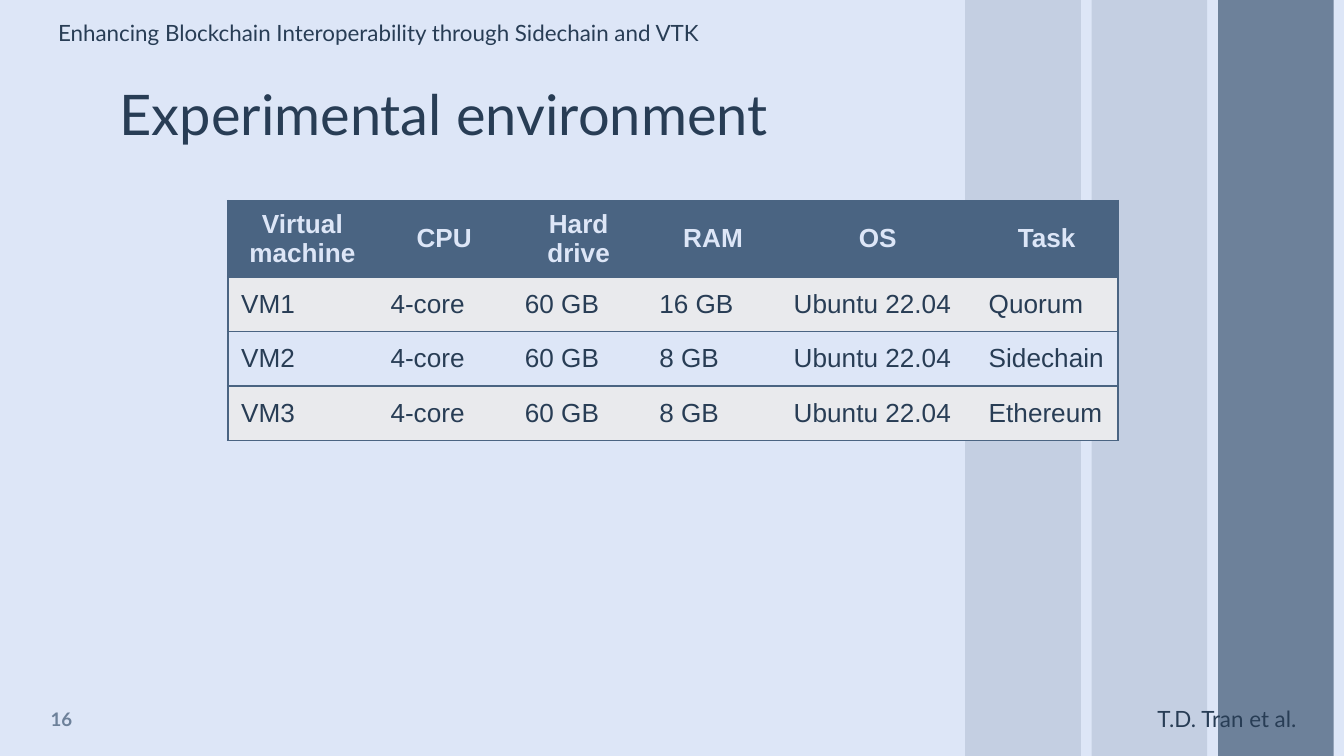
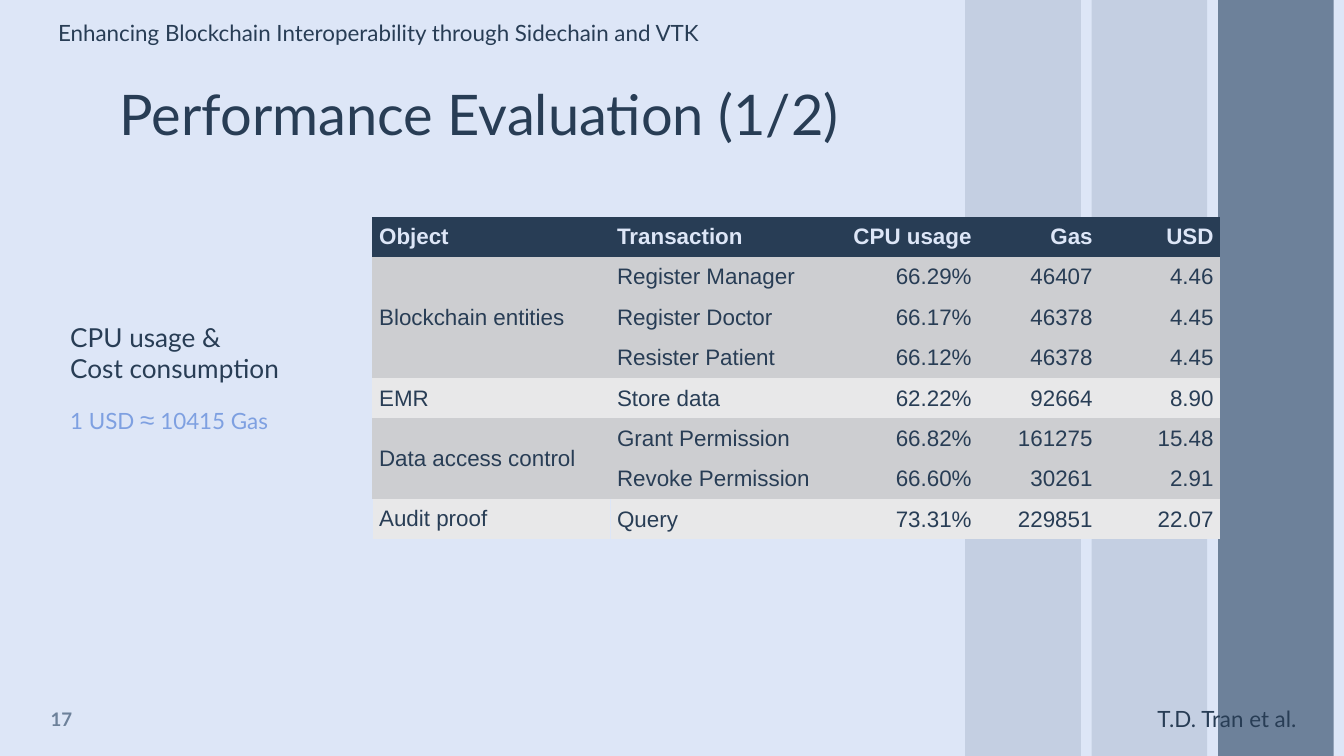
"""Build two slides on the test environment and evaluation of a blockchain system."""
from dataclasses import dataclass

from lxml import etree
from pptx import Presentation
from pptx import util as u
from pptx.dml import color
from pptx.enum import shapes, text
from pptx.oxml import ns

TALK = "Enhancing Blockchain Interoperability through Sidechain and VTK"
AUTHORS = "T.D. Tran et al."

MACHINES = [
    ("Virtual machine", "CPU", "Hard drive", "RAM", "OS", "Task"),
    ("VM1", "4-core", "60 GB", "16 GB", "Ubuntu 22.04", "Quorum"),
    ("VM2", "4-core", "60 GB", "8 GB", "Ubuntu 22.04", "Sidechain"),
    ("VM3", "4-core", "60 GB", "8 GB", "Ubuntu 22.04", "Ethereum"),
]
MACHINE_WIDTHS = (80, 72, 72, 72, 104.5, 76.5)
MACHINE_HEIGHTS = (39, 29.2, 29.2, 29.2)

COST_HEADER = ("Object", "Transaction", "CPU usage", "Gas", "USD")
COSTS = [
    ("Blockchain entities", [
        ("Register Manager", "66.29%", "46407", "4.46"),
        ("Register Doctor", "66.17%", "46378", "4.45"),
        ("Resister Patient", "66.12%", "46378", "4.45"),
    ]),
    ("EMR", [("Store data", "62.22%", "92664", "8.90")]),
    ("Data access control", [
        ("Grant Permission", "66.82%", "161275", "15.48"),
        ("Revoke Permission", "66.60%", "30261", "2.91"),
    ]),
    ("Audit proof", [("Query", "73.31%", "229851", "22.07")]),
]
COST_WIDTHS = (127.5, 118, 79.2, 64.8, 64.8)
COST_ROW_HEIGHT = 21.6
COST_CAPTION = "CPU usage &\vCost consumption"


@dataclass(frozen=True)
class Theme:
    """Colours, fonts and type sizes of the deck."""
    background: str = "DDE6F7"
    ink: str = "283D55"
    slate: str = "6D819A"
    header: str = "4A6482"
    accent: str = "7EA0E1"
    machine_bands: tuple = ("E9EAED", "DDE6F7")
    cost_bands: tuple = ("CDCED1", "E8E8E9")
    heading_font: str = "Lato"
    table_font: str = "Arial"
    title: int = 30
    body: int = 14
    small: int = 12
    number: int = 10


THEME = Theme()
WIDTH, HEIGHT = 720, 405
STRIPE_WIDTH, STRIPE_PITCH, STRIPE_LEFT = 62, 67.75, 517
STRIPE_OPACITIES = (22, 22, 100)
LEFT, CENTER, RIGHT = text.PP_ALIGN.LEFT, text.PP_ALIGN.CENTER, text.PP_ALIGN.RIGHT
TOP, MIDDLE = text.MSO_ANCHOR.TOP, text.MSO_ANCHOR.MIDDLE


def rgb(value):
    return color.RGBColor.from_string(value)


def style(run, size, ink=THEME.ink, font=THEME.heading_font, bold=False):
    run.font.size = u.Pt(size)
    run.font.name = font
    run.font.bold = bold
    run.font.color.rgb = rgb(ink)


def add_text(slide, box, words, size, ink=THEME.ink, bold=False,
             align=LEFT, anchor=TOP, inset=3.6):
    frame = slide.shapes.add_textbox(*map(u.Pt, box)).text_frame
    frame.word_wrap = True
    frame.vertical_anchor = anchor
    frame.margin_top = frame.margin_bottom = u.Pt(inset)
    paragraph = frame.paragraphs[0]
    paragraph.text = words
    paragraph.alignment = align
    for run in paragraph.runs:
        style(run, size, ink, bold=bold)
    return paragraph


def add_stripe(slide, left, opacity):
    stripe = slide.shapes.add_shape(
        shapes.MSO_SHAPE.RECTANGLE, u.Pt(left), 0, u.Pt(STRIPE_WIDTH), u.Pt(HEIGHT))
    stripe.shadow.inherit = False
    stripe.line.fill.background()
    stripe.fill.solid()
    stripe.fill.fore_color.rgb = rgb(THEME.slate)
    if opacity < 100:
        shade = stripe.fill._xPr.find(".//" + ns.qn("a:srgbClr"))
        etree.SubElement(shade, ns.qn("a:alpha"), val=str(opacity * 1000))


def add_slide(presentation, title, number):
    slide = presentation.slides.add_slide(presentation.slide_layouts[6])
    slide.background.fill.solid()
    slide.background.fill.fore_color.rgb = rgb(THEME.background)
    for index, opacity in enumerate(STRIPE_OPACITIES):
        add_stripe(slide, STRIPE_LEFT + index * STRIPE_PITCH, opacity)
    add_text(slide, (24, 6.5, 492, 21.8), TALK, THEME.small)
    add_text(slide, (613, 374, 101.5, 21.8), AUTHORS, THEME.small)
    add_text(slide, (57, 35.5, 607, 45), title, THEME.title, inset=7.2)
    add_text(slide, (16.5, 374.5, 33, 21.5), str(number), THEME.number,
             THEME.slate, bold=True, align=CENTER, anchor=MIDDLE)
    return slide


def add_table(slide, left, top, widths, heights):
    table = slide.shapes.add_table(
        len(heights), len(widths), u.Pt(left), u.Pt(top),
        u.Pt(sum(widths)), u.Pt(sum(heights))).table
    for column, width in zip(table.columns, widths):
        column.width = u.Pt(width)
    for row, height in zip(table.rows, heights):
        row.height = u.Pt(height)
    return table


def set_borders(cell, sides, line_color):
    properties = cell._tc.get_or_add_tcPr()
    for side in "LRTB":
        line = etree.SubElement(properties, ns.qn(f"a:ln{side}"), w=str(u.Pt(1)))
        if side in sides:
            fill = etree.SubElement(line, ns.qn("a:solidFill"))
            etree.SubElement(fill, ns.qn("a:srgbClr"), val=line_color)
        else:
            etree.SubElement(line, ns.qn("a:noFill"))


def fill_cell(cell, words, size, fill, header=False, align=LEFT,
              anchor=MIDDLE, sides="", line_color=THEME.header):
    set_borders(cell, sides, line_color)
    cell.fill.solid()
    cell.fill.fore_color.rgb = rgb(fill)
    cell.vertical_anchor = anchor
    paragraph = cell.text_frame.paragraphs[0]
    paragraph.text = words
    paragraph.alignment = align
    for run in paragraph.runs:
        style(run, size, THEME.background if header else THEME.ink,
              THEME.table_font, header)


def add_machine_table(slide):
    table = add_table(slide, 122, 107.5, MACHINE_WIDTHS, MACHINE_HEIGHTS)
    outer_sides = {0: "L", len(MACHINE_WIDTHS) - 1: "R"}
    for row, values in enumerate(MACHINES):
        header = row == 0
        fill = THEME.header if header else THEME.machine_bands[(row - 1) % 2]
        for column, words in enumerate(values):
            fill_cell(table.cell(row, column), words, THEME.body, fill, header,
                      CENTER if header else LEFT,
                      sides="TB" + outer_sides.get(column, ""))


def add_cost_table(slide):
    rows = [(COST_HEADER, THEME.ink)]
    spans = []
    for index, (name, transactions) in enumerate(COSTS):
        spans.append((len(rows), len(transactions)))
        for position, values in enumerate(transactions):
            label = name if position == 0 else ""
            rows.append(((label, *values), THEME.cost_bands[index % 2]))
    table = add_table(slide, 199.5, 116, COST_WIDTHS, [COST_ROW_HEIGHT] * len(rows))
    last = len(rows) - 1
    special = {(last, 0): {"sides": "LRB", "anchor": TOP}, (last, 1): {"sides": "L"}}
    for row, (values, fill) in enumerate(rows):
        for column, words in enumerate(values):
            cell = table.cell(row, column)
            cell.margin_left = cell.margin_right = u.Pt(3.6)
            cell.margin_top = cell.margin_bottom = u.Pt(3.6)
            fill_cell(cell, words, THEME.small, fill, row == 0,
                      RIGHT if column > 1 else LEFT, line_color=THEME.background,
                      **special.get((row, column), {}))
    for first, count in spans:
        if count > 1:
            table.cell(first, 0).merge(table.cell(first + count - 1, 0))


def add_cost_caption(slide):
    add_text(slide, (30.5, 165, 162.5, 48), COST_CAPTION, THEME.body, inset=7.2)
    rate = add_text(slide, (30.5, 209, 141, 31.5), "1 USD ", THEME.small,
                    THEME.accent, inset=7.2)
    for words, size, font in (("≈", THEME.body, THEME.table_font),
                              (" 10415 Gas", THEME.small, THEME.heading_font)):
        run = rate.add_run()
        run.text = words
        style(run, size, THEME.accent, font)


def main():
    presentation = Presentation()
    presentation.slide_width, presentation.slide_height = u.Pt(WIDTH), u.Pt(HEIGHT)
    add_machine_table(add_slide(presentation, "Experimental environment", 16))
    evaluation = add_slide(presentation, "Performance Evaluation (1/2)", 17)
    add_cost_caption(evaluation)
    add_cost_table(evaluation)
    presentation.save("out.pptx")


if __name__ == "__main__":
    main()
